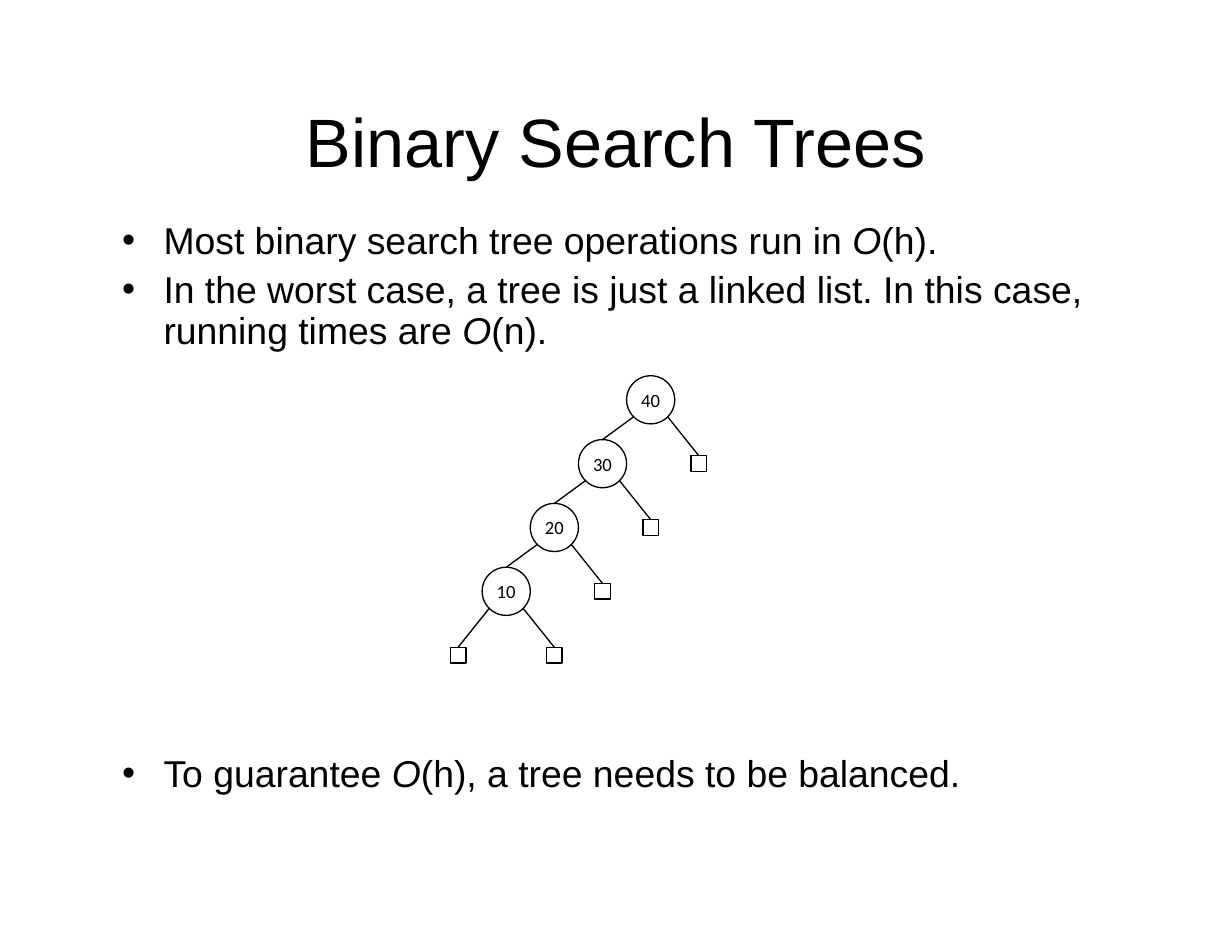
from dataclasses import dataclass

from lxml import etree
from pptx import Presentation
from pptx.dml.color import RGBColor
from pptx.enum.shapes import MSO_CONNECTOR as Connector, MSO_SHAPE as Shape
from pptx.enum.text import MSO_ANCHOR as Anchor, PP_ALIGN as Align
from pptx.oxml.ns import qn
from pptx.util import Inches, Pt


@dataclass
class Theme:
    ink: RGBColor = RGBColor(0, 0, 0)
    font: str = "Arial"
    node_font: str = "Calibri"
    title_size: float = 44
    body_size: float = 24
    node_size: float = 12
    line_width: float = 0.86


theme = Theme()


def write_text(shape, paragraphs, size, font=theme.font, align=Align.LEFT,
               anchor=Anchor.TOP, line=None, gap=0, bullet_indent=None):
    frame = shape.text_frame
    frame.word_wrap = True
    frame.vertical_anchor = anchor
    frame.margin_left = frame.margin_right = 0
    frame.margin_top = frame.margin_bottom = 0
    for index, runs in enumerate(paragraphs):
        paragraph = frame.add_paragraph() if index else frame.paragraphs[0]
        paragraph.alignment = align
        paragraph.space_before = Pt(gap if index else 0)
        if line:
            paragraph.line_spacing = Pt(line)
        if bullet_indent:
            properties = paragraph._p.get_or_add_pPr()
            properties.set("marL", str(Inches(bullet_indent)))
            properties.set("indent", str(-Inches(bullet_indent)))
            etree.SubElement(properties, qn("a:buFont"), typeface=theme.font)
            etree.SubElement(properties, qn("a:buChar"), char="•")
        for text in runs:
            run = paragraph.add_run()
            run.text = text
            run.font.name = font
            run.font.size = Pt(size)
            run.font.italic = text == "O"
            run.font.color.rgb = theme.ink


def style_outline(shape):
    shape.line.color.rgb = theme.ink
    shape.line.width = Pt(theme.line_width)


presentation = Presentation()
presentation.slide_width = Inches(11)
presentation.slide_height = Inches(8.5)
slide = presentation.slides.add_slide(presentation.slide_layouts[5])

title = slide.shapes.title
title.left, title.top = Inches(1), Inches(0.98)
title.width, title.height = Inches(9), Inches(0.64)
write_text(title, [["Binary Search Trees"]], theme.title_size,
           align=Align.CENTER, line=46)

bullet_blocks = [
    (1.98, 1.16, [
        ["Most binary search tree operations run in ", "O", "(h)."],
        ["In the worst case, a tree is just a linked list. In this case, "
         "running times are ", "O", "(n)."],
    ]),
    (6.74, 0.36, [["To guarantee ", "O", "(h), a tree needs to be balanced."]]),
]
for top, height, paragraphs in bullet_blocks:
    box = slide.shapes.add_textbox(Inches(1.09), Inches(top), Inches(8.8), Inches(height))
    write_text(box, paragraphs, theme.body_size, line=26, gap=5.7, bullet_indent=0.37)

root_x, root_y = 5.81, 3.57
step_x, step_y = 0.43, 0.57
node_size, leaf_size = 0.43, 0.14
edge_offset = 0.15
keys = ["40", "30", "20", "10"]

nodes, leaves, edges = [], [], []
for level, key in enumerate(keys):
    x, y = root_x - level * step_x, root_y + level * step_y
    nodes.append((x, y, key))
    for side in (-1, 1):
        child_x, child_y = x + side * step_x, y + step_y
        is_leaf = side == 1 or key == keys[-1]
        if is_leaf:
            leaves.append((child_x, child_y, ""))
        child_top = child_y - (leaf_size if is_leaf else node_size) / 2
        edges.append((x + side * edge_offset, y + edge_offset, child_x, child_top))

for edge in edges:
    connector = slide.shapes.add_connector(Connector.STRAIGHT, *map(Inches, edge))
    style_outline(connector)
    etree.SubElement(connector._element.spPr, qn("a:effectLst"))

for kind, size, places in [(Shape.OVAL, node_size, nodes), (Shape.RECTANGLE, leaf_size, leaves)]:
    for x, y, key in places:
        shape = slide.shapes.add_shape(kind, Inches(x - size / 2), Inches(y - size / 2),
                                       Inches(size), Inches(size))
        shape.shadow.inherit = False
        shape.fill.background()
        style_outline(shape)
        if key:
            write_text(shape, [[key]], theme.node_size, font=theme.node_font,
                       align=Align.CENTER, anchor=Anchor.MIDDLE)

presentation.save("out.pptx")
